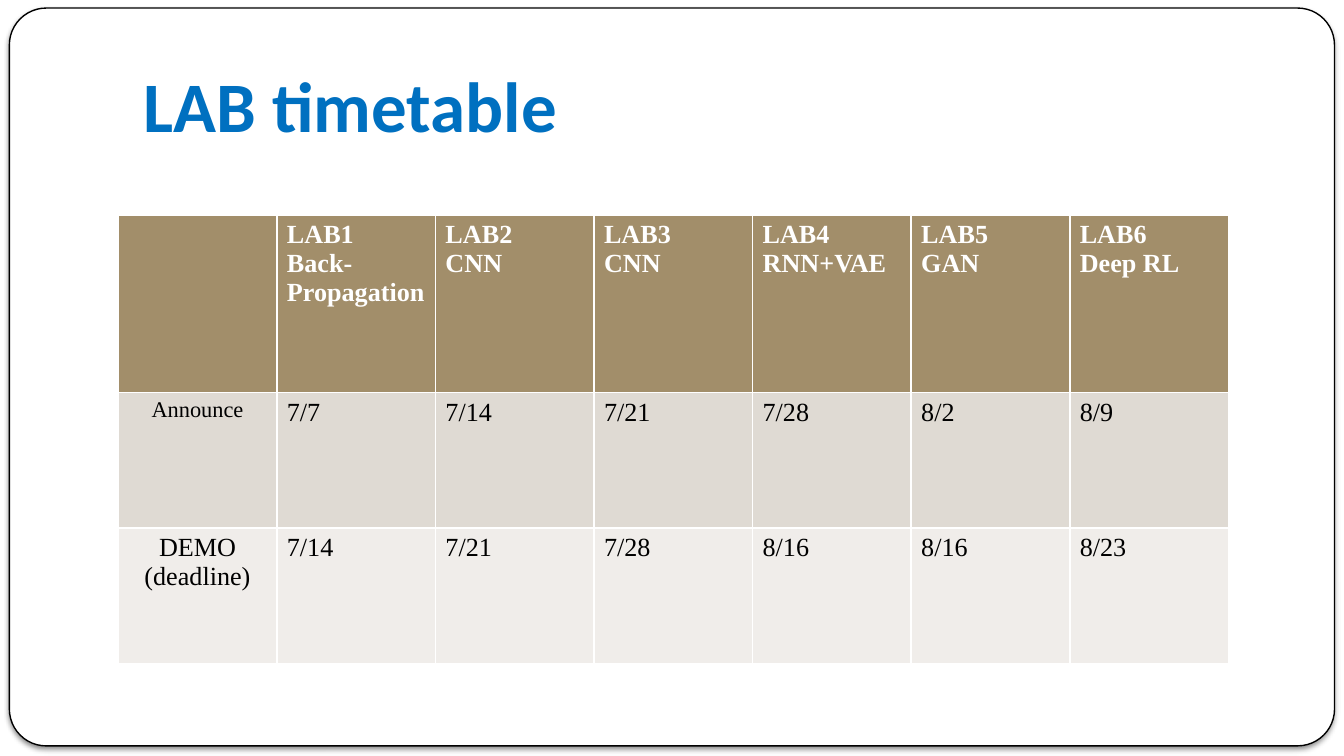
from dataclasses import dataclass

from lxml import etree
from pptx import Presentation
from pptx import util as u
from pptx.dml.color import RGBColor
from pptx.enum import shapes, text
from pptx.oxml import parse_xml
from pptx.oxml.ns import nsdecls, qn

WIDTH, HEIGHT = u.Pt(720), u.Pt(405)
SERIF = "Times New Roman"
WHITE, BLACK, BLUE = "FFFFFF", "000000", "0070C0"
COLUMN_WIDTH = u.Inches(1.18)


@dataclass
class TableRow:
    cells: list[str]
    height: float
    fill: str
    color: str = BLACK
    bold: bool = False
    label_size: int = 14


TIMETABLE = [
    TableRow(
        ["", "LAB1\nBack-Propagation", "LAB2\nCNN", "LAB3\nCNN",
         "LAB4\nRNN+VAE", "LAB5\nGAN", "LAB6\nDeep RL"],
        1.32, "A28E6A", WHITE, True,
    ),
    TableRow(
        ["Announce", "7/7", "7/14", "7/21", "7/28", "8/2", "8/9"],
        1.01, "DFDAD3", label_size=12,
    ),
    TableRow(
        ["DEMO\n(deadline)", "7/14", "7/21", "7/28", "8/16", "8/16", "8/23"],
        1.01, "F0EDEA",
    ),
]


def rgb(value: str) -> RGBColor:
    return RGBColor.from_string(value)


def write(frame, content: str, *, size: int, color: str = BLACK, font: str = SERIF,
          bold: bool = False, align=text.PP_ALIGN.LEFT) -> None:
    for index, line in enumerate(content.split("\n")):
        paragraph = frame.paragraphs[0] if index == 0 else frame.add_paragraph()
        paragraph.alignment = align
        run = paragraph.add_run()
        run.text = line
        run.font.name = font
        run.font.size = u.Pt(size)
        run.font.bold = bold
        run.font.color.rgb = rgb(color)


def draw_frame(slide) -> None:
    shape = slide.shapes.add_shape(
        shapes.MSO_SHAPE.ROUNDED_RECTANGLE,
        u.Inches(0.07), u.Inches(0.06), u.Inches(9.86), u.Inches(5.49),
    )
    shape.adjustments[0] = 0.05
    shape.fill.solid()
    shape.fill.fore_color.rgb = rgb(WHITE)
    shape.line.color.rgb = rgb(BLACK)
    shape.line.width = u.Pt(0.75)
    shape.shadow.inherit = False
    effects = shape._element.spPr.find(qn("a:effectLst"))
    effects.append(parse_xml(
        f'<a:outerShdw {nsdecls("a")} blurRad="{u.Pt(3)}" dist="{u.Pt(2)}" '
        f'dir="5400000" rotWithShape="0"><a:srgbClr val="{BLACK}">'
        '<a:alpha val="50000"/></a:srgbClr></a:outerShdw>'
    ))


def draw_title(slide, content: str) -> None:
    box = slide.shapes.add_textbox(
        u.Inches(1), u.Inches(0.22), u.Inches(8.5), u.Inches(0.94))
    frame = box.text_frame
    frame.word_wrap = True
    frame.vertical_anchor = text.MSO_ANCHOR.BOTTOM
    frame.margin_left = frame.margin_right = frame.margin_bottom = u.Inches(0.07)
    frame.margin_top = u.Inches(0.04)
    write(frame, content, size=38, color=BLUE, font="Calibri", bold=True)


def add_borders(cell, color: str, points: float) -> None:
    properties = cell._tc.get_or_add_tcPr()
    for side in ("lnL", "lnR", "lnT", "lnB"):
        line = etree.SubElement(properties, qn(f"a:{side}"), w=str(u.Pt(points)))
        fill = etree.SubElement(line, qn("a:solidFill"))
        etree.SubElement(fill, qn("a:srgbClr"), val=color)


def draw_table(slide, rows: list[TableRow]) -> None:
    count = len(rows[0].cells)
    table = slide.shapes.add_table(
        len(rows), count, u.Inches(0.88), u.Inches(1.6),
        COLUMN_WIDTH * count, u.Inches(sum(row.height for row in rows)),
    ).table
    for column in table.columns:
        column.width = COLUMN_WIDTH
    for row_index, row in enumerate(rows):
        table.rows[row_index].height = u.Inches(row.height)
        for column_index, content in enumerate(row.cells):
            cell = table.cell(row_index, column_index)
            is_label = column_index == 0
            cell.margin_left = cell.margin_right = u.Pt(5.4)
            cell.margin_top = cell.margin_bottom = u.Inches(0.04)
            add_borders(cell, WHITE, 0.96)
            cell.fill.solid()
            cell.fill.fore_color.rgb = rgb(row.fill)
            if content:
                write(
                    cell.text_frame, content, color=row.color, bold=row.bold,
                    size=row.label_size if is_label else 14,
                    align=text.PP_ALIGN.CENTER if is_label else text.PP_ALIGN.LEFT,
                )


def main() -> None:
    presentation = Presentation()
    presentation.slide_width, presentation.slide_height = WIDTH, HEIGHT
    slide = presentation.slides.add_slide(presentation.slide_layouts[6])
    draw_frame(slide)
    draw_title(slide, "LAB timetable")
    draw_table(slide, TIMETABLE)
    presentation.save("out.pptx")


if __name__ == "__main__":
    main()
